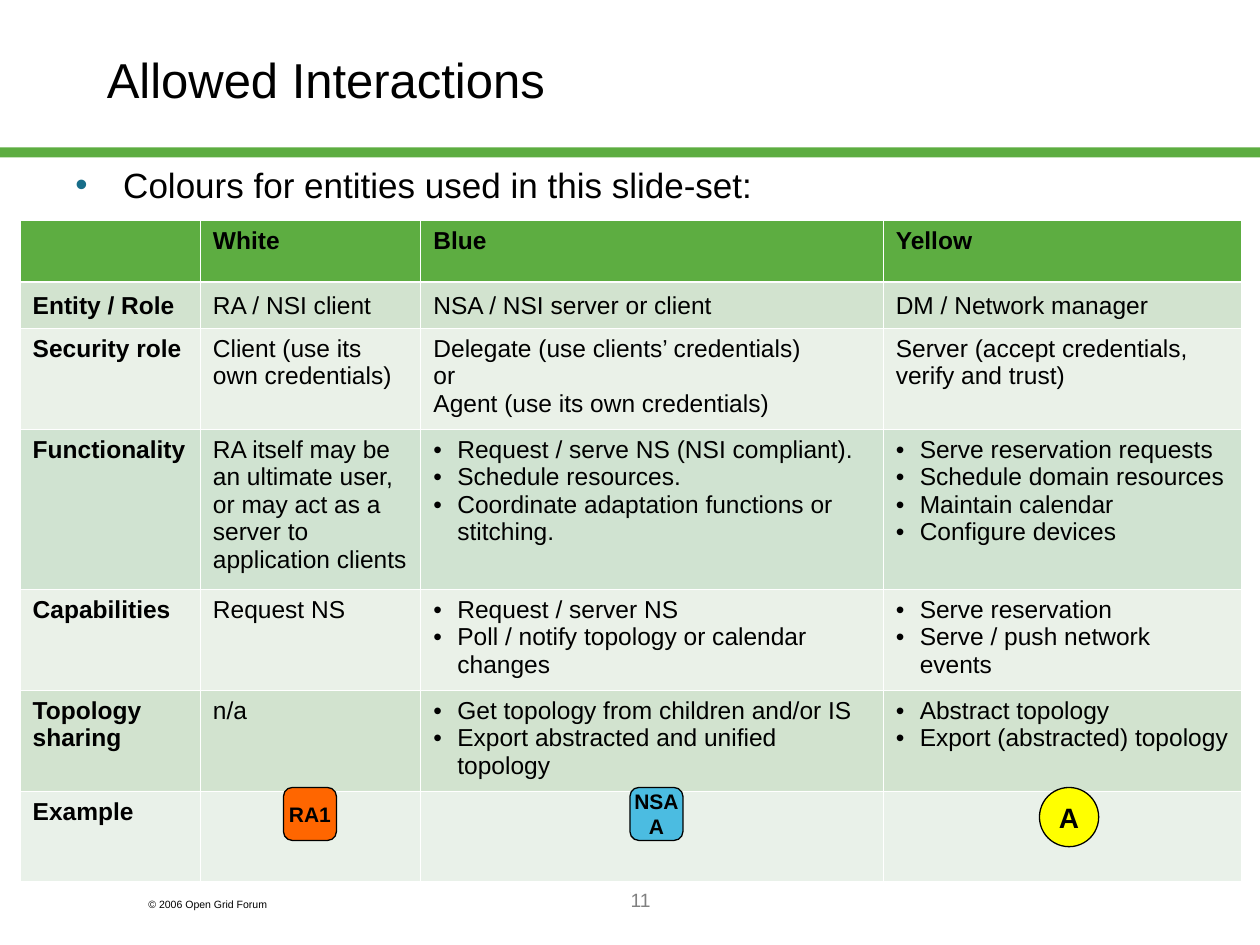
from dataclasses import dataclass

from lxml.etree import SubElement
from pptx import Presentation
from pptx.dml.color import RGBColor as Rgb
from pptx.enum.shapes import MSO_SHAPE as Kind
from pptx.enum.text import MSO_ANCHOR as Anchor, PP_ALIGN as Align
from pptx.oxml import parse_xml
from pptx.oxml.ns import nsdecls, qn
from pptx.util import Inches, Pt


@dataclass(frozen=True)
class Theme:
    face: str = "Arial"
    ink: str = "000000"
    white: str = "FFFFFF"
    green: str = "5DAD41"
    mid: str = "D2E3CF"
    deep: str = "D0E3D1"
    light: str = "EAF1E8"
    pale: str = "E9F1E9"
    teal: str = "176D89"
    grey: str = "808080"
    orange: str = "FF6600"
    blue: str = "4BBCE1"
    yellow: str = "FFFF00"
    title: float = 28
    lead: float = 20
    cell: float = 14
    badge: float = 12
    disc: float = 16
    page: float = 11
    foot: float = 6
    thin: float = 0.45
    thick: float = 1.47


T = Theme()

COLS = (1.43, 1.75, 3.67, 2.84)
ROWS = (
    (0.49, T.green, ("", "White", "Blue", "Yellow")),
    (0.37, T.mid, ("Entity / Role", "RA / NSI client", "NSA / NSI server or client",
                   "DM / Network manager")),
    (0.8, T.light, ("Security role", "Client (use its own credentials)",
                    "Delegate (use clients’ credentials)\nor\nAgent (use its own credentials)",
                    "Server (accept credentials, verify and trust)")),
    (1.27, T.deep, ("Functionality",
                    "RA itself may be an ultimate user, or may act as a server to application clients",
                    ("Request / serve NS (NSI compliant).", "Schedule resources.",
                     "Coordinate adaptation functions or stitching."),
                    ("Serve reservation requests", "Schedule domain resources",
                     "Maintain calendar", "Configure devices"))),
    (0.8, T.light, ("Capabilities", "Request NS",
                    ("Request / server NS", "Poll / notify topology or calendar changes"),
                    ("Serve reservation", "Serve / push network events"))),
    (0.8, T.mid, ("Topology sharing", "n/a",
                  ("Get topology from children and/or IS", "Export abstracted and unified topology"),
                  ("Abstract topology", "Export (abstracted) topology"))),
    (0.71, T.pale, ("Example", "", "", "")),
)


def style(para, size, color=T.ink, bold=False, align=Align.LEFT):
    para.alignment = align
    font = para.font
    font.name, font.size, font.bold = T.face, Pt(size), bold
    font.color.rgb = Rgb.from_string(color)


def bullet(para, indent, color):
    props = para._p.get_or_add_pPr()
    props.set("marL", str(Inches(indent)))
    props.set("indent", str(-Inches(indent)))
    tint = SubElement(props, qn("a:buClr"))
    SubElement(tint, qn("a:srgbClr"), val=color)
    SubElement(props, qn("a:buFont"), typeface=T.face)
    SubElement(props, qn("a:buChar"), char="•")


def paint(shape, color):
    shape.fill.solid()
    shape.fill.fore_color.rgb = Rgb.from_string(color)


def label(slide, box, text, size, color=T.ink, align=Align.LEFT, anchor=Anchor.TOP):
    frame = slide.shapes.add_textbox(*map(Inches, box)).text_frame
    frame.word_wrap = True
    frame.vertical_anchor = anchor
    para = frame.paragraphs[0]
    para.text = text
    style(para, size, color, align=align)
    return para


def lead(slide, box, text):
    para = label(slide, box, "", T.lead)
    para.text = text
    props = para._p.get_or_add_pPr()
    props.remove(props.find(qn("a:defRPr")))
    bullet(para, 0.38, T.teal)
    style(para, T.lead)


def bar(slide, box, color):
    shape = slide.shapes.add_shape(Kind.RECTANGLE, *map(Inches, box))
    shape.shadow.inherit = False
    paint(shape, color)
    shape.line.fill.background()


def badge(slide, kind, box, color, text, size):
    shape = slide.shapes.add_shape(kind, *map(Inches, box))
    shape.shadow.inherit = False
    paint(shape, color)
    shape.line.color.rgb = Rgb.from_string(T.ink)
    shape.line.width = Pt(0.75)
    frame = shape.text_frame
    frame.margin_left = frame.margin_right = frame.margin_top = frame.margin_bottom = 0
    frame.word_wrap = kind != Kind.OVAL
    frame.vertical_anchor = Anchor.MIDDLE
    para = frame.paragraphs[0]
    para.text = text
    style(para, size, bold=True, align=Align.CENTER)


def edge(cell, row):
    props = cell._tc.get_or_add_tcPr()
    wide = {"T": row == 1, "B": row == 0}
    for spot, side in enumerate("LRTB"):
        width = Pt(T.thick if wide.get(side) else T.thin)
        props.insert(spot, parse_xml(
            f'<a:ln{side} {nsdecls("a")} w="{width}"><a:solidFill>'
            f'<a:srgbClr val="{T.white}"/></a:solidFill></a:ln{side}>'))


def fill_cell(cell, body, bold):
    listed = isinstance(body, tuple)
    lines = body if listed else body.split("\n")
    frame = cell.text_frame
    for spot, line in enumerate(lines):
        para = frame.add_paragraph() if spot else frame.paragraphs[0]
        para.text = line
        if listed:
            bullet(para, 0.19, T.ink)
        style(para, T.cell, bold=bold)


def grid(slide, left, top):
    high = sum(row[0] for row in ROWS)
    size = map(Inches, (left, top, sum(COLS), high))
    table = slide.shapes.add_table(len(ROWS), len(COLS), *size).table
    for col, width in zip(table.columns, COLS):
        col.width = Inches(width)
    for r, (height, color, texts) in enumerate(ROWS):
        table.rows[r].height = Inches(height)
        for c, body in enumerate(texts):
            cell = table.cell(r, c)
            cell.margin_left = cell.margin_right = Inches(0.1)
            cell.vertical_anchor = Anchor.MIDDLE if r == 1 else Anchor.TOP
            paint(cell, color)
            edge(cell, r)
            if body:
                fill_cell(cell, body, r == 0 or c == 0)


def main():
    """Build the slide on allowed interactions."""
    deck = Presentation()
    deck.slide_width, deck.slide_height = Inches(10), Inches(7.5)
    slide = deck.slides.add_slide(deck.slide_layouts[6])
    bar(slide, (0, 1.17, 10, 0.08), T.green)
    label(slide, (1.08, 7.08, 1.5, 0.2), "© 2006 Open Grid Forum", T.foot)
    label(slide, (0.75, 0, 8.5, 1.25), "Allowed Interactions", T.title, anchor=Anchor.MIDDLE)
    label(slide, (2.17, 7, 5.83, 0.5), "11", T.page, T.grey, Align.CENTER)
    lead(slide, (0.5, 1.25, 9.5, 0.44), "Colours for entities used in this slide-set:")
    grid(slide, 0.16, 1.75)
    badge(slide, Kind.ROUNDED_RECTANGLE, (2.25, 6.25, 0.42, 0.42), T.orange, "RA1", T.badge)
    badge(slide, Kind.OVAL, (8.25, 6.25, 0.47, 0.47), T.yellow, "A", T.disc)
    badge(slide, Kind.ROUNDED_RECTANGLE, (5, 6.25, 0.42, 0.42), T.blue, "NSAA", T.badge)
    deck.save("out.pptx")


if __name__ == "__main__":
    main()
